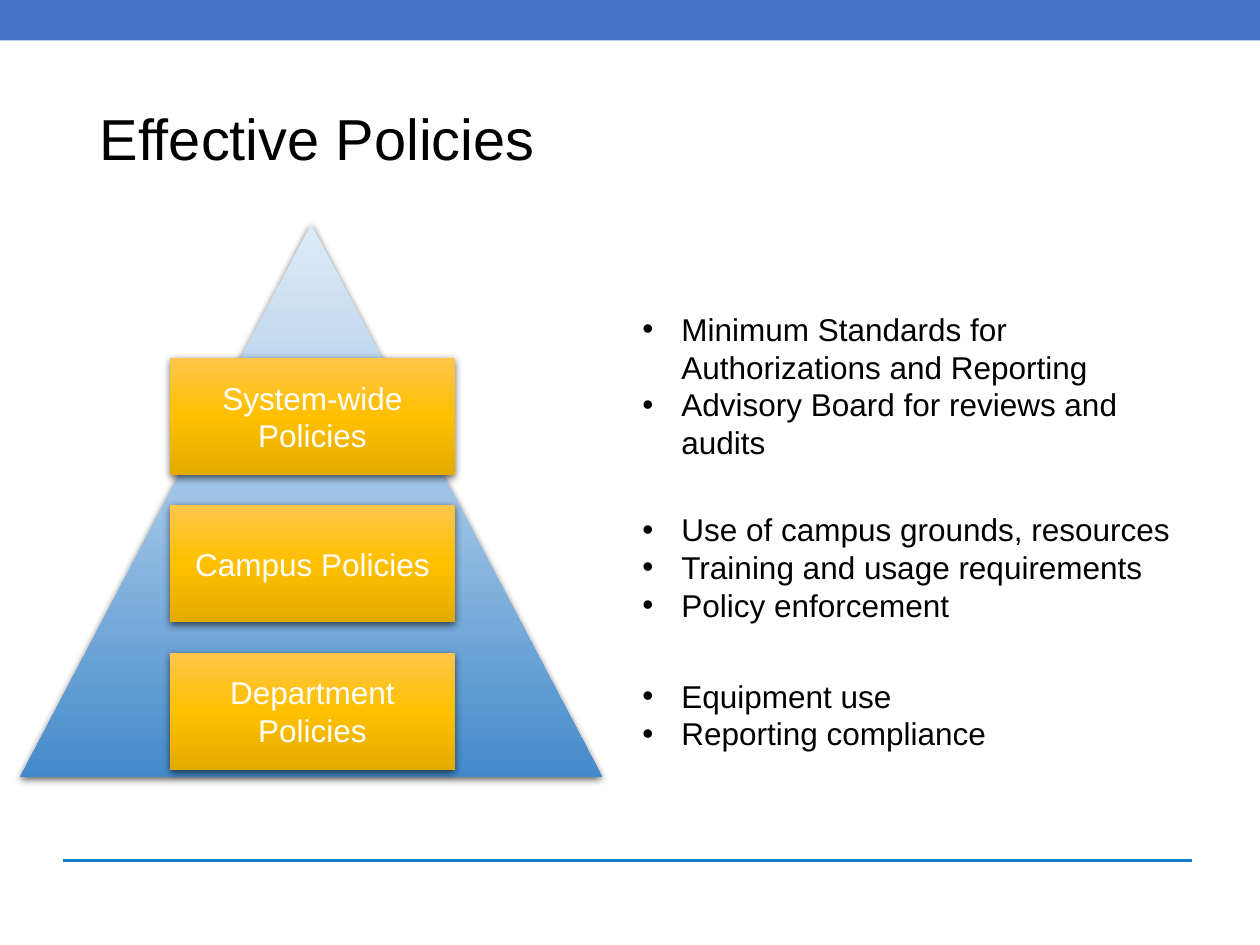
from pptx import Presentation
from pptx.dml.color import RGBColor
from pptx.enum.shapes import MSO_CONNECTOR, MSO_SHAPE
from pptx.enum.text import MSO_ANCHOR, MSO_AUTO_SIZE, PP_ALIGN
from pptx.oxml import parse_xml
from pptx.oxml.ns import nsdecls
from pptx.util import Inches, Pt

RECT, TRIANGLE = MSO_SHAPE.RECTANGLE, MSO_SHAPE.ISOSCELES_TRIANGLE
MIDDLE, LEFT, CENTER = MSO_ANCHOR.MIDDLE, PP_ALIGN.LEFT, PP_ALIGN.CENTER
FIT = MSO_AUTO_SIZE.SHAPE_TO_FIT_TEXT

# Content: level, its points, and the box of the points (top, width, height)
TITLE = "Effective Policies"
LEVELS = [
    ("System-wide Policies",
     ["Minimum Standards for Authorizations and Reporting",
      "Advisory Board for reviews and audits"], (2.41, 4.31, 1.31)),
    ("Campus Policies",
     ["Use of campus grounds, resources",
      "Training and usage requirements",
      "Policy enforcement"], (4, 4.58, 1.01)),
    ("Department Policies",
     ["Equipment use", "Reporting compliance"], (5.32, 4.58, 0.71)),
]
BLUES = ["DEEBF7", "9DC3E6", "448ACA"]
GOLDS = ["FFC64B", "FFC000", "E3AB00"]
WIDTH, HEIGHT = 10, 7.5
LEVEL_TOP, LEVEL_STEP = 2.84, 1.17
INDENT = 0.31


def rgb(value):
    return RGBColor.from_string(value)


def xml(tag, body, attrs=""):
    return parse_xml(f'<a:{tag} {nsdecls("a")} {attrs}>{body}</a:{tag}>')


def write(tf, lines, size=18, color="000000", align=LEFT, bullet=False, spacing=None):
    tf.word_wrap = True
    for i, line in enumerate(lines):
        p = tf.paragraphs[0] if i == 0 else tf.add_paragraph()
        p.alignment = align
        if spacing:
            p.line_spacing = spacing
        if bullet:
            pPr = p._p.get_or_add_pPr()
            pPr.set("marL", str(Inches(INDENT)))
            pPr.set("indent", str(-Inches(INDENT)))
            pPr.append(xml("buFont", "", 'typeface="Arial"'))
            pPr.append(xml("buChar", "", 'char="•"'))
        r = p.add_run()
        r.text = line
        r.font.name, r.font.size = "Arial", Pt(size)
        r.font.color.rgb = rgb(color)


def add_gradient_shape(kind, box, colors):
    """Shape with a top-to-bottom gradient, no outline and a soft shadow."""
    s = slide.shapes.add_shape(kind, *map(Inches, box))
    stops = "".join(f'<a:gs pos="{i * 50000}"><a:srgbClr val="{c}"/></a:gs>'
                    for i, c in enumerate(colors))
    spPr = s._element.spPr
    spPr.append(xml("gradFill", f'<a:gsLst>{stops}</a:gsLst>'
                    '<a:lin ang="5400000" scaled="0"/>', 'rotWithShape="1"'))
    s.line.fill.background()
    spPr.append(xml("effectLst", f'<a:outerShdw blurRad="{Pt(4.5)}" dist="{Pt(1.5)}" '
                    'dir="5400000" algn="ctr" rotWithShape="0"><a:srgbClr val="000000">'
                    '<a:alpha val="63000"/></a:srgbClr></a:outerShdw>'))
    return s


prs = Presentation()
prs.slide_width, prs.slide_height = Inches(WIDTH), Inches(HEIGHT)
slide = prs.slides.add_slide(prs.slide_layouts[5])

# Top band and bottom rule
band = slide.shapes.add_shape(RECT, 0, 0, prs.slide_width, Inches(0.32))
band.fill.solid()
band.fill.fore_color.rgb = rgb("4472C4")
band.line.fill.background()
band.shadow.inherit = False
rule = slide.shapes.add_connector(MSO_CONNECTOR.STRAIGHT,
                                  *map(Inches, (0.5, 6.83, 9.46, 6.83)))
rule.line.color.rgb = rgb("0F7FC5")
rule.line.width = Pt(1.5)
rule._element.spPr.append(xml("effectLst", ""))

# Title
title = slide.shapes.title
title.left, title.top, title.width, title.height = map(Inches, (0.69, 0.4, 8.62, 1.45))
title.text_frame.vertical_anchor = MIDDLE
write(title.text_frame, [TITLE], size=33, spacing=0.9)

# Pyramid, its levels and their points
add_gradient_shape(TRIANGLE, (0.16, 1.78, 4.62, 4.39), BLUES)
for i, (name, points, (top, width, height)) in enumerate(LEVELS):
    level = add_gradient_shape(RECT, (1.35, LEVEL_TOP + i * LEVEL_STEP, 2.26, 0.93), GOLDS)
    level.text_frame.vertical_anchor = MIDDLE
    write(level.text_frame, [name], color="FFFFFF", align=CENTER)
    box = slide.shapes.add_textbox(*map(Inches, (WIDTH / 2, top, width, height)))
    write(box.text_frame, points, bullet=True)
    box.text_frame.auto_size = FIT

prs.save("out.pptx")
